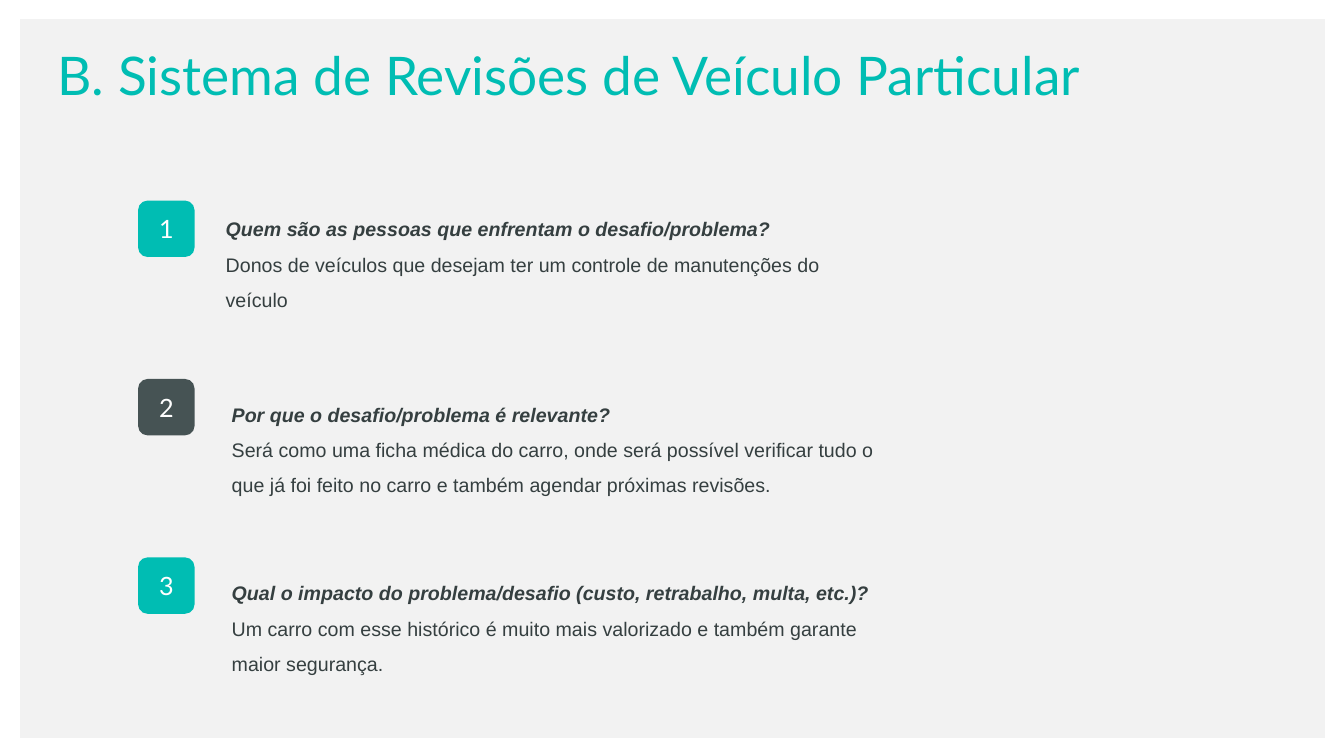
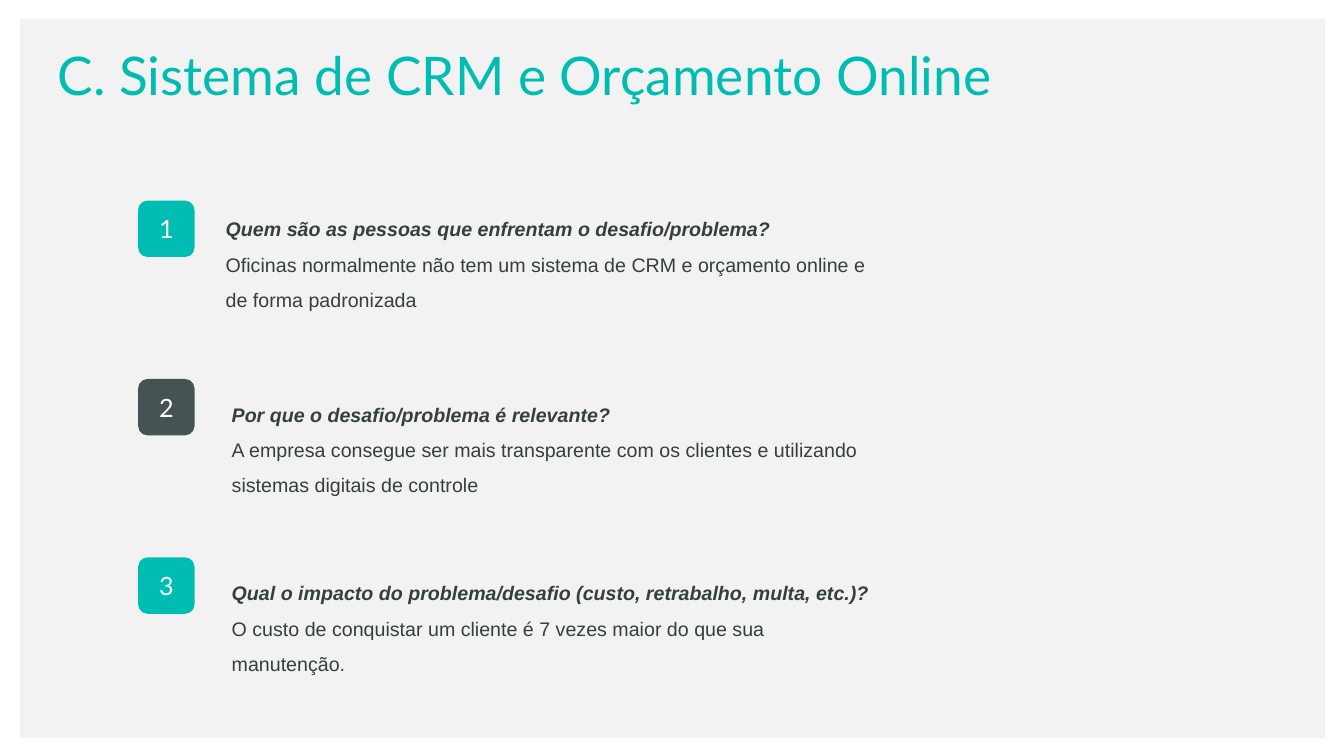
from pptx import Presentation
from pptx.dml.color import RGBColor
from pptx.enum import shapes, text
from pptx.util import Inches, Pt

TEAL, SLATE, INK, PANEL, WHITE = "00BDB3", "465354", "353F40", "F2F2F2", "FFFFFF"

QUESTIONS = [
    "Quem são as pessoas que enfrentam o desafio/problema?",
    "Por que o desafio/problema é relevante?",
    "Qual o impacto do problema/desafio (custo, retrabalho, multa, etc.)?",
]
SYSTEMS = [
    ("B. Sistema de Revisões de Veículo Particular", [
        "Donos de veículos que desejam ter um controle de manutenções do veículo",
        "Será como uma ficha médica do carro, onde será possível verificar tudo o "
        "que já foi feito no carro e também agendar próximas revisões.",
        "Um carro com esse histórico é muito mais valorizado e também garante "
        "maior segurança.",
    ]),
    ("C. Sistema de CRM e Orçamento Online", [
        "Oficinas normalmente não tem um sistema de CRM e orçamento online e "
        "de forma padronizada",
        "A empresa consegue ser mais transparente com os clientes e utilizando "
        "sistemas digitais de controle",
        "O custo de conquistar um cliente é 7 vezes maior do que sua manutenção.",
    ]),
]

BADGE_LEFT, BADGE_TOP, BADGE_SIZE, ROW_STEP = 1.37, 1.99, 0.56, 1.77
BADGE_COLORS = [TEAL, SLATE, TEAL]
ANSWER_PLACES = [(2.14, 1.99), (2.2, 3.83), (2.2, 5.6)]
ANSWER_SIZE = (6.66, 1.12)


def color(value):
    return RGBColor.from_string(value)


def write(para, words, size, font, ink, bold=False, italic=False,
          align=text.PP_ALIGN.LEFT, spacing=1.0):
    para.alignment = align
    para.line_spacing = spacing
    span = para.add_run()
    span.text = words
    span.font.size = Pt(size)
    span.font.name = font
    span.font.color.rgb = color(ink)
    span.font.bold = bold
    span.font.italic = italic


def add_block(page, kind, left, top, width, height, fill):
    block = page.shapes.add_shape(
        kind, Inches(left), Inches(top), Inches(width), Inches(height))
    block.shadow.inherit = False
    block.fill.solid()
    block.fill.fore_color.rgb = color(fill)
    block.line.fill.background()
    return block


def add_title(page, words):
    title = page.shapes.title
    title.left, title.top = Inches(0.47), Inches(0.37)
    title.width, title.height = Inches(12.19), Inches(0.74)
    frame = title.text_frame
    frame.auto_size = text.MSO_AUTO_SIZE.NONE
    frame.vertical_anchor = text.MSO_ANCHOR.TOP
    write(frame.paragraphs[0], words, 38, "Lato", TEAL)


def add_badge(page, index):
    badge = add_block(page, shapes.MSO_SHAPE.ROUNDED_RECTANGLE, BADGE_LEFT,
                      BADGE_TOP + index * ROW_STEP, BADGE_SIZE, BADGE_SIZE,
                      BADGE_COLORS[index])
    badge.text_frame.vertical_anchor = text.MSO_ANCHOR.MIDDLE
    write(badge.text_frame.paragraphs[0], str(index + 1), 18, "Lato", WHITE,
          align=text.PP_ALIGN.CENTER)


def add_answer(page, place, question, answer):
    box = page.shapes.add_textbox(*map(Inches, place + ANSWER_SIZE))
    frame = box.text_frame
    frame.word_wrap = True
    write(frame.paragraphs[0], question, 14, "Arial", INK,
          bold=True, italic=True, spacing=1.5)
    write(frame.add_paragraph(), answer, 14, "Arial", INK, spacing=1.5)


def move_to_layout(shape, layout):
    """Place the shape behind everything else on the shared layout."""
    layout.shapes.element.insert(2, shape.element)


def main():
    deck = Presentation()
    deck.slide_width, deck.slide_height = Inches(13.33), Inches(7.5)
    layout = deck.slide_layouts.get_by_name("Title Only")
    pages = [deck.slides.add_slide(layout) for _ in SYSTEMS]
    panel = add_block(pages[0], shapes.MSO_SHAPE.RECTANGLE,
                      0.2, 0.19, 12.94, 7.13, PANEL)
    move_to_layout(panel, layout)
    for page, (title, answers) in zip(pages, SYSTEMS):
        add_title(page, title)
        for index, (question, answer) in enumerate(zip(QUESTIONS, answers)):
            add_badge(page, index)
            add_answer(page, ANSWER_PLACES[index], question, answer)
    deck.save("out.pptx")


if __name__ == "__main__":
    main()
